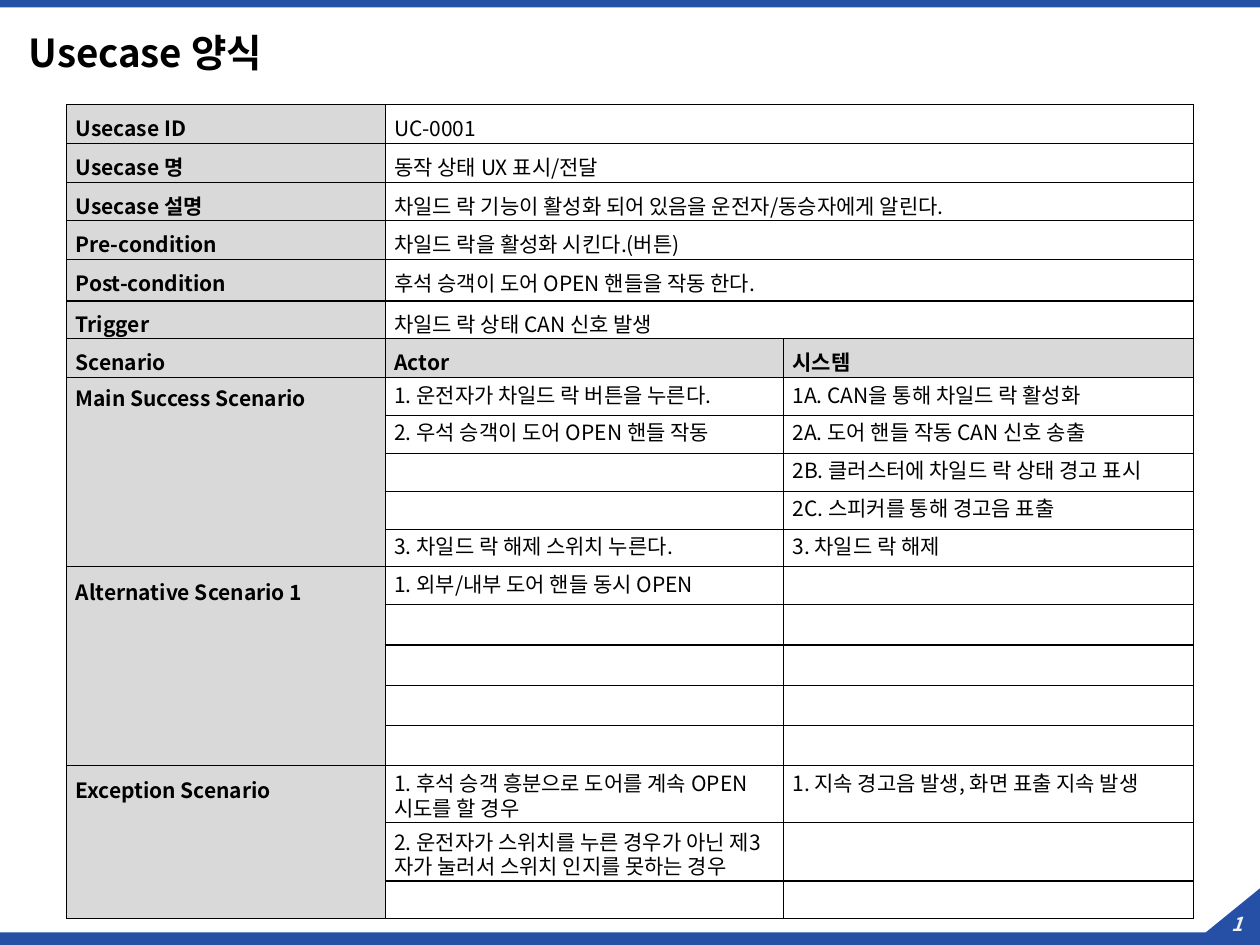
from lxml.etree import SubElement
from pptx import Presentation
from pptx.dml.color import RGBColor
from pptx.enum.shapes import MSO_SHAPE as Shape
from pptx.enum.text import MSO_ANCHOR as Anchor, PP_ALIGN as Align
from pptx.oxml.ns import qn
from pptx.util import Inches, Pt

FONT = "Noto Sans CJK KR"
COLORS = {"blue": "2550A6", "label": "D9D9D9", "white": "FFFFFF",
          "black": "000000", "number": "F2F2F2"}
WIDTH, HEIGHT = 10, 7.5
TITLE = "Usecase 양식"

SUMMARY = [
    ("Usecase ID", "UC-0001"),
    ("Usecase 명", "동작 상태 UX 표시/전달"),
    ("Usecase 설명", "차일드 락 기능이 활성화 되어 있음을 운전자/동승자에게 알린다."),
    ("Pre-condition", "차일드 락을 활성화 시킨다.(버튼)"),
    ("Post-condition", "후석 승객이 도어 OPEN 핸들을 작동 한다."),
    ("Trigger", "차일드 락 상태 CAN 신호 발생"),
]
HEADINGS = ("Scenario", "Actor", "시스템")
SCENARIOS = [
    ("Main Success Scenario", [
        ("1. 운전자가 차일드 락 버튼을 누른다.", "1A. CAN을 통해 차일드 락 활성화"),
        ("2. 우석 승객이 도어 OPEN 핸들 작동", "2A. 도어 핸들 작동 CAN 신호 송출"),
        ("", "2B. 클러스터에 차일드 락 상태 경고 표시"),
        ("", "2C. 스피커를 통해 경고음 표출"),
        ("3. 차일드 락 해제 스위치 누른다.", "3. 차일드 락 해제"),
    ]),
    ("Alternative Scenario 1", [("1. 외부/내부 도어 핸들 동시 OPEN", "")] + [("", "")] * 4),
    ("Exception Scenario", [
        ("1. 후석 승객 흥분으로 도어를 계속 OPEN 시도를 할 경우",
         "1. 지속 경고음 발생, 화면 표출 지속 발생"),
        ("2. 운전자가 스위치를 누른 경우가 아닌 제3자가 눌러서 스위치 인지를 못하는 경우", ""),
        ("", ""),
    ]),
]

TABLE_LEFT, TABLE_TOP = 0.53, 0.83
COLUMN_WIDTHS = (2.53, 3.16, 3.25)
ROW_HEIGHTS = ([0.31, 0.31, 0.3, 0.31, 0.33, 0.3, 0.31]
               + [0.3] * 6 + [0.32] * 4 + [0.45, 0.46, 0.3])

# top margin in inches, space before and line spacing in points
FIELD = (0.06, 4.7, None)
STEP = (0.05, 3.5, 14.3)
LONG_STEP = (0.07, 4.7, 14.2)
MAIN_LABEL = (0.08, 5.6, 13.9)


def rgb(name):
    return RGBColor.from_string(COLORS[name])


def paint(shape, color):
    shape.shadow.inherit = False
    shape.fill.solid()
    shape.fill.fore_color.rgb = rgb(color)
    shape.line.fill.background()


def format_runs(paragraph, size, color="black", bold=False, italic=False):
    for run in paragraph.runs:
        font = run.font
        font.name, font.size, font.bold, font.italic = FONT, Pt(size), bold, italic
        font.color.rgb = rgb(color)
        SubElement(font._element, qn("a:ea"), typeface=FONT)


def add_text(slide, text, box, margin):
    frame = slide.shapes.add_textbox(*map(Inches, box)).text_frame
    frame.word_wrap = True
    frame.vertical_anchor = Anchor.MIDDLE
    frame.margin_left = frame.margin_right = Inches(margin)
    frame.margin_top = frame.margin_bottom = Inches(margin / 2)
    frame.text = text
    return frame.paragraphs[0]


def add_borders(cell):
    properties = cell._tc.get_or_add_tcPr()
    for index, side in enumerate(("a:lnL", "a:lnR", "a:lnT", "a:lnB")):
        line = properties.makeelement(qn(side), {"w": str(Pt(0.75))})
        fill = SubElement(line, qn("a:solidFill"))
        SubElement(fill, qn("a:srgbClr"), val=COLORS["black"])
        properties.insert(index, line)


def fill_cell(cell, text, style=STEP, label=False):
    top, before, spacing = style
    cell.margin_left = cell.margin_right = cell.margin_bottom = 0
    cell.margin_top = Inches(top)
    cell.fill.solid()
    cell.fill.fore_color.rgb = rgb("label" if label else "white")
    add_borders(cell)
    paragraph = cell.text_frame.paragraphs[0]
    if not text:
        SubElement(paragraph._p, qn("a:endParaRPr"), sz="1200")
        return
    paragraph.text = text
    paragraph.space_before = Pt(before)
    if spacing:
        paragraph.line_spacing = Pt(spacing)
    paragraph._p.get_or_add_pPr().set("marL", str(Inches(0.07)))
    format_runs(paragraph, 12, bold=label)


def add_usecase_table(slide):
    table = slide.shapes.add_table(
        len(ROW_HEIGHTS), len(COLUMN_WIDTHS), Inches(TABLE_LEFT), Inches(TABLE_TOP),
        Inches(sum(COLUMN_WIDTHS)), Inches(sum(ROW_HEIGHTS))).table
    table.first_row = table.horz_banding = False
    for column, width in zip(table.columns, COLUMN_WIDTHS):
        column.width = Inches(width)
    for row, height in zip(table.rows, ROW_HEIGHTS):
        row.height = Inches(height)

    for row, (label, value) in enumerate(SUMMARY):
        fill_cell(table.cell(row, 0), label, FIELD, label=True)
        fill_cell(table.cell(row, 1), value, FIELD)
        fill_cell(table.cell(row, 2), "")
        table.cell(row, 1).merge(table.cell(row, 2))

    row = len(SUMMARY)
    for column, heading in enumerate(HEADINGS):
        fill_cell(table.cell(row, column), heading, FIELD, label=True)

    row += 1
    for label, steps in SCENARIOS:
        label_style = MAIN_LABEL if label.startswith("Main") else LONG_STEP[:2] + (None,)
        for offset, (actor, system) in enumerate(steps):
            fill_cell(table.cell(row + offset, 0), "" if offset else label,
                      label_style, label=True)
            actor_style = LONG_STEP if len(actor) > 40 else STEP
            fill_cell(table.cell(row + offset, 1), actor, actor_style)
            fill_cell(table.cell(row + offset, 2), system)
        last = row + len(steps) - 1
        table.cell(row, 0).merge(table.cell(last, 0))
        row = last + 1


def add_frame(slide):
    """Top bar, bottom bar with its raised corner, and page number."""
    top_bar = slide.shapes.add_shape(Shape.RECTANGLE, 0, 0, Inches(WIDTH), Inches(0.06))
    paint(top_bar, "blue")
    corner = [(WIDTH, 7.05), (WIDTH, HEIGHT), (0, HEIGHT), (0, 7.4), (9.57, 7.4)]
    points = [(Inches(x), Inches(y)) for x, y in corner]
    builder = slide.shapes.build_freeform(*points[0])
    builder.add_line_segments(points[1:], close=True)
    paint(builder.convert_to_shape(), "blue")
    number = add_text(slide, "1", (9.61, 7.19, 0.42, 0.29), 0)
    number.alignment = Align.CENTER
    format_runs(number, 11, "number", bold=True, italic=True)


def main():
    presentation = Presentation()
    presentation.slide_width, presentation.slide_height = Inches(WIDTH), Inches(HEIGHT)
    slide = presentation.slides.add_slide(presentation.slide_layouts[6])
    add_frame(slide)
    title = add_text(slide, TITLE, (0.13, 0.21, 9.47, 0.46), 0.1)
    title.line_spacing = 0.9
    format_runs(title, 22, bold=True)
    add_usecase_table(slide)
    presentation.save("out.pptx")


if __name__ == "__main__":
    main()
